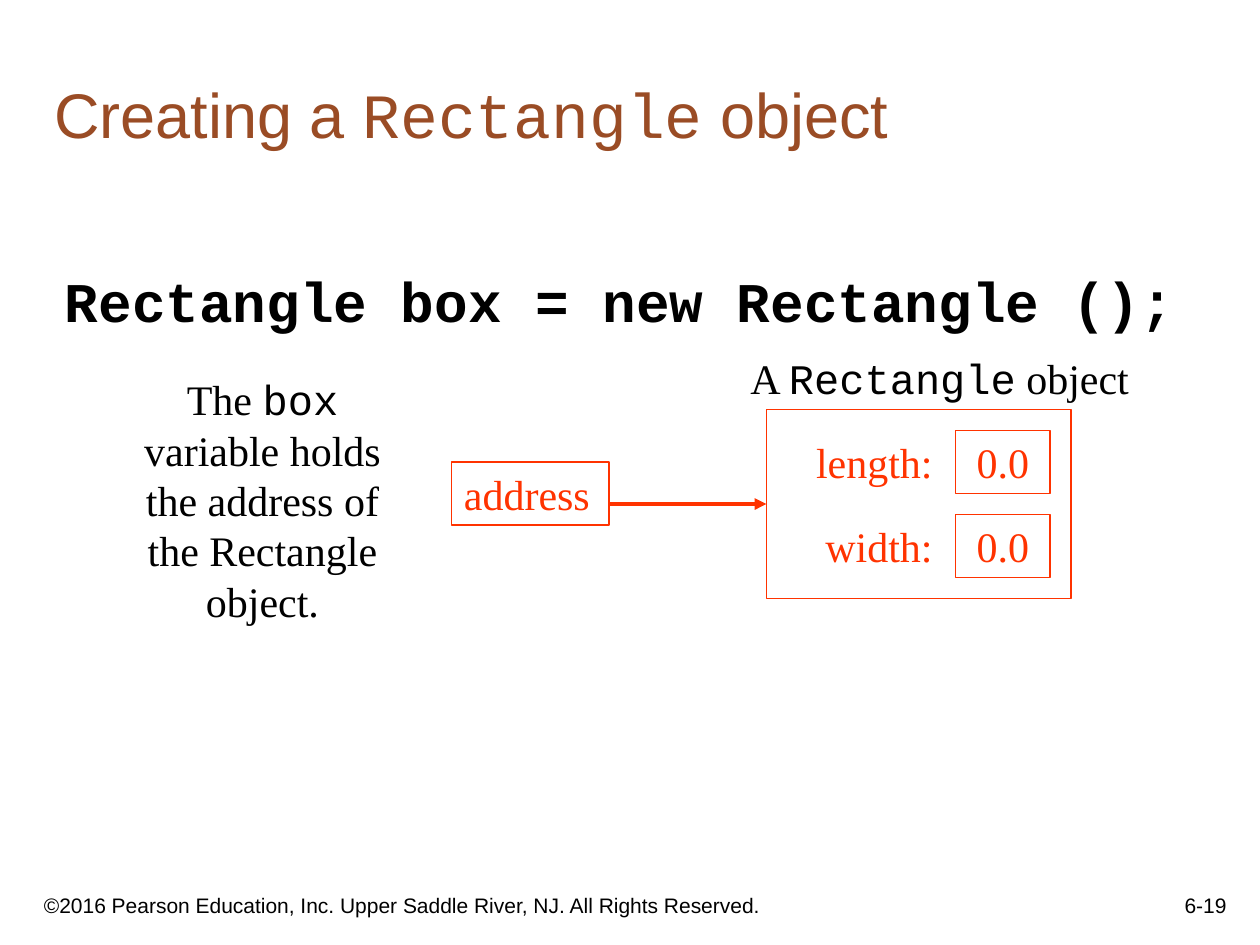
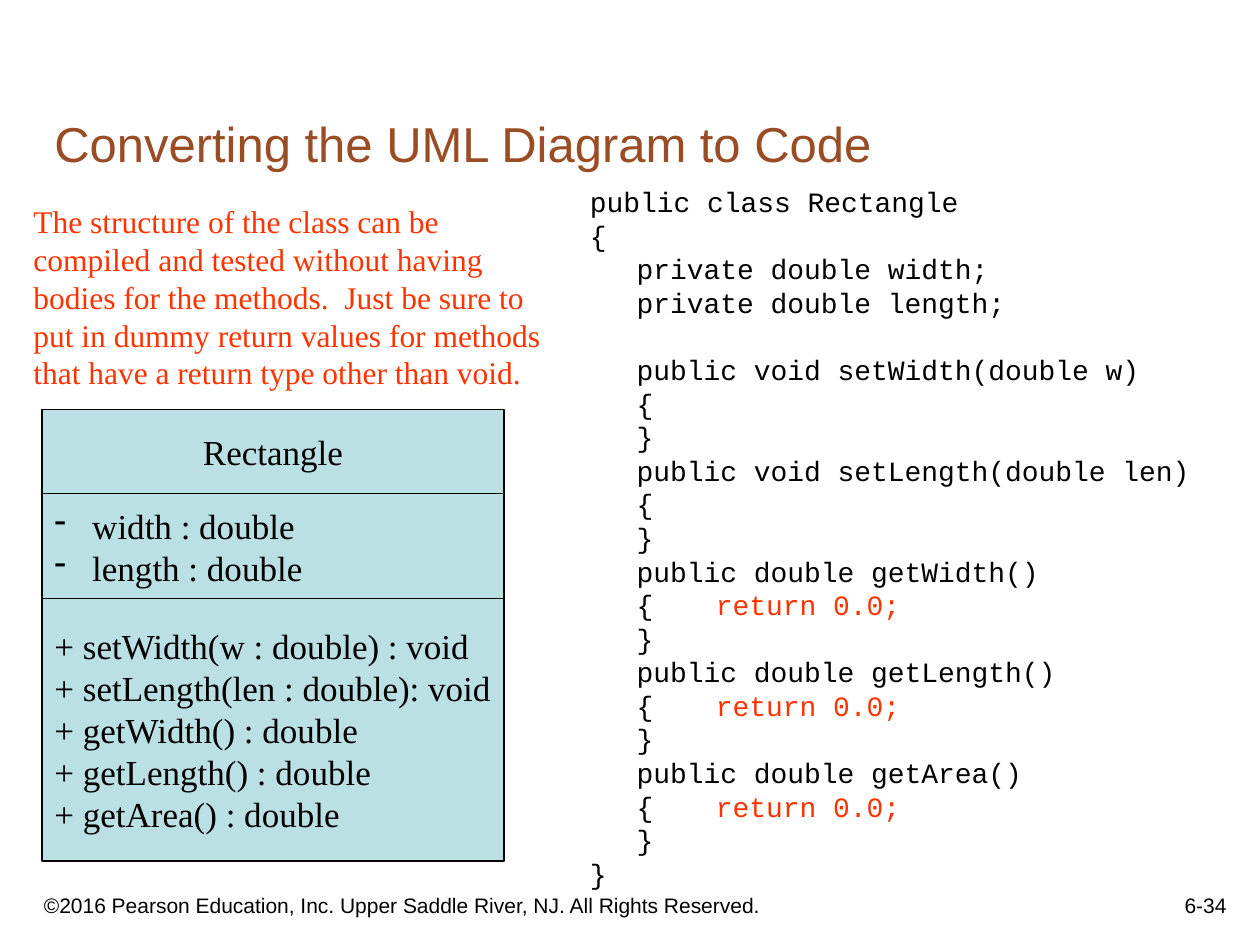
"""Build two Java class slides: an object diagram and a UML-to-code conversion."""
from lxml import etree
from pptx import Presentation
from pptx.dml.color import RGBColor
from pptx.enum.shapes import MSO_CONNECTOR, MSO_SHAPE
from pptx.enum.text import MSO_ANCHOR, PP_ALIGN
from pptx.oxml.ns import qn
from pptx.util import Pt

LEFT, CENTER, RIGHT = PP_ALIGN.LEFT, PP_ALIGN.CENTER, PP_ALIGN.RIGHT
TOP, MIDDLE, BOTTOM = MSO_ANCHOR.TOP, MSO_ANCHOR.MIDDLE, MSO_ANCHOR.BOTTOM
RECT, STRAIGHT = MSO_SHAPE.RECTANGLE, MSO_CONNECTOR.STRAIGHT

COLORS = {"title": "9A4C25", "text": "000000", "accent": "FF3300", "uml": "BBE0E3"}
SANS, SERIF, MONO = "Arial", "Times New Roman", "Courier New"
LINE_HEIGHT = 1.2
BULLET_INDENT = 21.6
CODE_TABS = (26.64, 72)

COPYRIGHT = "©2016 Pearson Education, Inc. Upper Saddle River, NJ. All Rights Reserved."

OBJECT_TITLE = [("Creating a ", {}), ("Rectangle", {"font": MONO}), (" object", {})]
STATEMENT = "Rectangle box = new Rectangle ();"
VARIABLE_NOTE = [("The ", {}), ("box ", {"font": MONO}),
                 ("variable holds the address of the Rectangle object.", {})]
OBJECT_CAPTION = [("A ", {}), ("Rectangle", {"font": MONO}), (" object", {})]
FIELDS = [("length:", "0.0"), ("width:", "0.0")]

UML_TITLE = "Converting the UML Diagram to Code"
STUB_NOTE = ("The structure of the class can be compiled and tested without having "
             "bodies for the methods.  Just be sure to put in dummy return values "
             "for methods that have a return type other than void.")
UML_CLASS = [
    (48, CENTER, False, ["Rectangle"]),
    (60, LEFT, True, ["width : double", "length : double"]),
    (150, LEFT, False, ["+ setWidth(w : double) : void",
                        "+ setLength(len : double): void",
                        "+ getWidth() : double",
                        "+ getLength() : double",
                        "+ getArea() : double"]),
]
CLASS_HEAD = ["public class Rectangle", "{",
              "\tprivate double width;", "\tprivate double length;"]
SETTERS = ["setWidth(double w)", "setLength(double len)"]
GETTERS = ["getWidth()", "getLength()", "getArea()"]
DUMMY_RETURN = "return 0.0;"


def rgb(name):
    return RGBColor.from_string(COLORS[name])


def write(sp, paragraphs, size, font=SERIF, color="text", bold=False,
          align=LEFT, anchor=TOP, right_inset=7.2):
    tf = sp.text_frame
    tf.word_wrap = True
    tf.vertical_anchor = anchor
    tf.margin_right = Pt(right_inset)
    for i, runs in enumerate(paragraphs):
        p = tf.paragraphs[0] if i == 0 else tf.add_paragraph()
        p.alignment = align
        p.line_spacing = Pt(round(size * LINE_HEIGHT, 2))
        for text, style in [(runs, {})] if isinstance(runs, str) else runs:
            r = p.add_run()
            r.text = text
            r.font.size = Pt(size)
            r.font.bold = bold
            r.font.name = style.get("font", font)
            r.font.color.rgb = rgb(style.get("color", color))
    return tf


def add_text(s, box, paragraphs, size, **style):
    return write(s.shapes.add_textbox(*map(Pt, box)), paragraphs, size, **style)


def add_box(s, box, line, fill=None):
    sp = s.shapes.add_shape(RECT, *map(Pt, box))
    sp.shadow.inherit = False
    sp.line.color.rgb = rgb(line)
    sp.line.width = Pt(0.75)
    if fill:
        sp.fill.solid()
        sp.fill.fore_color.rgb = rgb(fill)
    else:
        sp.fill.background()
    return sp


def add_arrow(s, x, y, target):
    line = s.shapes.add_connector(STRAIGHT, Pt(x), Pt(y), target.left, Pt(y))
    line.end_connect(target, 1)
    line.line.color.rgb = rgb("accent")
    line.line.width = Pt(2.25)
    etree.SubElement(line.line._get_or_add_ln(), qn("a:tailEnd"), type="triangle")
    etree.SubElement(line._element.spPr, qn("a:effectLst"))


def add_dashes(tf):
    for p in tf.paragraphs:
        pPr = p._p.get_or_add_pPr()
        pPr.set("marL", str(Pt(BULLET_INDENT)))
        pPr.set("indent", str(-Pt(BULLET_INDENT)))
        etree.SubElement(pPr, qn("a:buChar"), char="-")


def add_tabs(tf, stops):
    for p in tf.paragraphs:
        tabs = etree.SubElement(p._p.get_or_add_pPr(), qn("a:tabLst"))
        for stop in stops:
            etree.SubElement(tabs, qn("a:tab"), pos=str(Pt(stop)), algn="l")


def add_slide(prs, title, title_box, title_size, number):
    s = prs.slides.add_slide(prs.slide_layouts[6])
    add_text(s, (18, 498, 438, 30), [COPYRIGHT], 12, font=SANS, anchor=BOTTOM)
    add_text(s, (558, 492, 150, 36), [number], 12, font=SANS, align=RIGHT, anchor=BOTTOM)
    add_text(s, title_box, [title], title_size, font=SANS, color="title", anchor=BOTTOM)
    return s


def build_object_slide(prs):
    s = add_slide(prs, OBJECT_TITLE, (24, 0, 612, 90), 36, "6-19")
    add_text(s, (30, 149, 654, 54), [STATEMENT], 32, font=MONO, bold=True, right_inset=0)
    write(add_box(s, (258, 264, 90, 36), "accent"), ["address"], 24, color="accent")
    for i, (label, value) in enumerate(FIELDS):
        y = 246 + 48 * i
        add_text(s, (450, y, 90, 36), [label], 24, color="accent", align=RIGHT)
        write(add_box(s, (546, y, 54, 36), "accent"), [value], 24,
              color="accent", align=CENTER)
    rectangle = add_box(s, (438, 234, 174, 108), "accent")
    add_arrow(s, 348, 288, rectangle)
    add_text(s, (66, 210, 168, 151), [VARIABLE_NOTE], 24, align=CENTER)
    add_text(s, (396, 198, 282, 36), [OBJECT_CAPTION], 24, align=CENTER)


def build_uml_slide(prs):
    s = add_slide(prs, UML_TITLE, (24, 24, 678, 78), 28, "6-34")
    y = 234
    for height, align, dashed, lines in UML_CLASS:
        tf = write(add_box(s, (24, y, 264, height), "text", "uml"), lines, 20,
                   align=align, anchor=MIDDLE, right_inset=7.2 if align == CENTER else 0)
        if dashed:
            add_dashes(tf)
        y += height

    code = list(CLASS_HEAD)
    for method in SETTERS:
        code += [f"\tpublic void {method}", "\t{", "\t}"]
    for method in GETTERS:
        code += [f"\tpublic double {method}",
                 [("\t{\t", {}), (DUMMY_RETURN, {"color": "accent"})], "\t}"]
    tf = add_text(s, (330, 102, 378, 430), code + ["}"], 16, font=MONO)
    tf.paragraphs[len(CLASS_HEAD)].space_before = Pt(16 * LINE_HEIGHT)
    add_tabs(tf, CODE_TABS)
    add_text(s, (12, 112, 314, 115), [STUB_NOTE], 18, color="accent")


def main():
    prs = Presentation()
    prs.slide_width, prs.slide_height = Pt(720), Pt(540)
    build_object_slide(prs)
    build_uml_slide(prs)
    prs.save("out.pptx")


if __name__ == "__main__":
    main()
